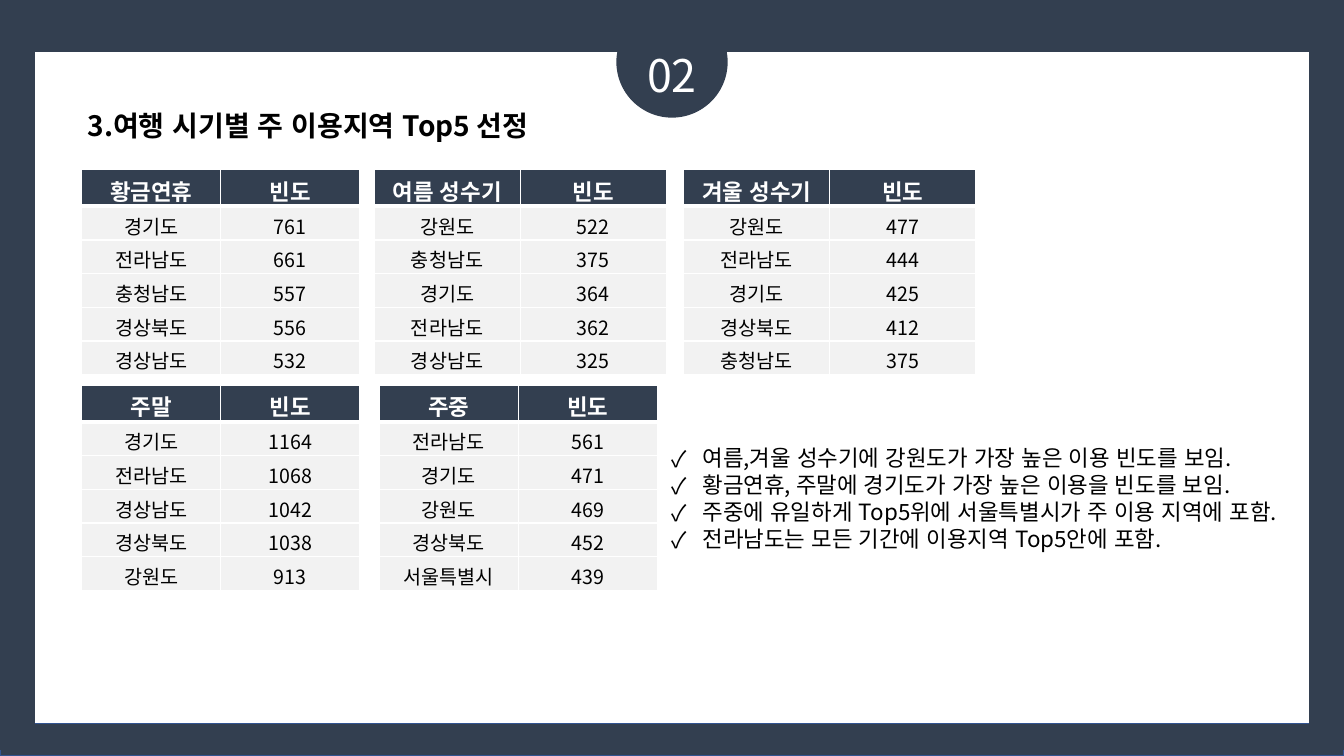
from lxml.etree import SubElement
from pptx import Presentation
from pptx.dml.color import RGBColor
from pptx.enum.lang import MSO_LANGUAGE_ID
from pptx.enum.shapes import MSO_SHAPE
from pptx.enum.text import MSO_ANCHOR, PP_ALIGN
from pptx.oxml.ns import qn
from pptx.util import Inches, Pt

FONT = "Noto Sans CJK KR"
COLORS = {"navy": "333F50", "edge": "325491", "pale": "F2F2F2",
          "white": "FFFFFF", "black": "000000"}
COUNT = "빈도"
# left, top, width, heading, rows
TABLES = [
    (0.81, 1.68, 2.76, "황금연휴",
     [("경기도", 761), ("전라남도", 661), ("충청남도", 557),
      ("경상북도", 556), ("경상남도", 532)]),
    (3.71, 1.68, 2.9, "여름 성수기",
     [("강원도", 522), ("충청남도", 375), ("경기도", 364),
      ("전라남도", 362), ("경상남도", 325)]),
    (6.78, 1.68, 2.9, "겨울 성수기",
     [("강원도", 477), ("전라남도", 444), ("경기도", 425),
      ("경상북도", 412), ("충청남도", 375)]),
    (0.81, 3.82, 2.76, "주말",
     [("경기도", 1164), ("전라남도", 1068), ("경상남도", 1042),
      ("경상북도", 1038), ("강원도", 913)]),
    (3.76, 3.82, 2.76, "주중",
     [("전라남도", 561), ("경기도", 471), ("강원도", 469),
      ("경상북도", 452), ("서울특별시", 439)]),
]
NOTES = [
    "여름,겨울 성수기에 강원도가 가장 높은 이용 빈도를 보임.",
    "황금연휴, 주말에 경기도가 가장 높은 이용을 빈도를 보임.",
    "주중에 유일하게 Top5위에 서울특별시가 주 이용 지역에 포함.",
    "전라남도는 모든 기간에 이용지역 Top5안에 포함.",
]


def color(name):
    return RGBColor.from_string(COLORS[name])


def add_run(para, text, size, tint="black", bold=False):
    run = para.add_run()
    run.text = text
    font = run.font
    font.size, font.bold, font.name = Pt(size), bold, FONT
    font.language_id = MSO_LANGUAGE_ID.KOREAN
    font.color.rgb = color(tint)
    SubElement(font._element, qn("a:ea")).set("typeface", FONT)


def add_box(slide, left, top, width, height):
    box = slide.shapes.add_textbox(
        Inches(left), Inches(top), Inches(width), Inches(height))
    box.text_frame.word_wrap = True
    return box.text_frame


def add_block(slide, kind, left, top, width, height, edge="navy"):
    block = slide.shapes.add_shape(
        kind, Inches(left), Inches(top), Inches(width), Inches(height))
    block.shadow.inherit = False
    block.fill.solid()
    block.fill.fore_color.rgb = color("navy")
    block.line.color.rgb = color(edge)
    block.line.width = Pt(1)


def add_frame(slide, width, height):
    """Draw the dark bands around the page."""
    rect = MSO_SHAPE.RECTANGLE
    add_block(slide, rect, 0, -0.01, width, 0.52)
    add_block(slide, rect, 0, height - 0.32, width, 0.32, "edge")
    for left in (0, width - 0.34):
        add_block(slide, rect, left, 0.4, 0.34, 7.03)


def add_badge(slide, left, top, size):
    add_block(slide, MSO_SHAPE.OVAL, left, top, size, size)
    para = add_box(slide, left + 0.1, top + 0.35,
                   size - 0.2, 0.64).paragraphs[0]
    para.alignment = PP_ALIGN.CENTER
    add_run(para, "02", 32, "white")


def add_title(slide, left, top, width, height):
    frame = add_box(slide, left, top, width, height)
    frame.vertical_anchor = MSO_ANCHOR.MIDDLE
    para = frame.paragraphs[0]
    para.line_spacing = 0.9
    add_run(para, "3.여행 시기별 주 이용지역 Top5 선정", 20, bold=True)


def add_borders(cell, top, bottom):
    """Give a cell white borders; top and bottom are widths in points."""
    props = cell._tc.get_or_add_tcPr()
    for side, width in (("L", 1), ("R", 1), ("T", top), ("B", bottom)):
        line = SubElement(props, qn(f"a:ln{side}"), w=str(Pt(width)))
        fill = SubElement(line, qn("a:solidFill"))
        SubElement(fill, qn("a:srgbClr"), val=COLORS["white"])


def add_ranks(slide, left, top, width, heading, ranks):
    rows = [(heading, COUNT), *ranks]
    step = 0.31
    table = slide.shapes.add_table(
        len(rows), 2, Inches(left), Inches(top),
        Inches(width), Inches(step * len(rows))).table
    for r, row in enumerate(rows):
        head = r == 0
        table.rows[r].height = Inches(step)
        for c, value in enumerate(row):
            cell = table.cell(r, c)
            add_borders(cell, 3 if r == 1 else 1, 3 if head else 1)
            cell.fill.solid()
            cell.fill.fore_color.rgb = color("navy" if head else "pale")
            para = cell.text_frame.paragraphs[0]
            para.alignment = PP_ALIGN.CENTER
            add_run(para, str(value), 16 if head else 14,
                    "white" if head else "black", head)


def add_notes(slide, left, top, width, height):
    frame = add_box(slide, left, top, width, height)
    for i, note in enumerate(NOTES):
        para = frame.add_paragraph() if i else frame.paragraphs[0]
        props = para._p.get_or_add_pPr()
        props.set("marL", str(Inches(0.31)))
        props.set("indent", str(Inches(-0.31)))
        SubElement(props, qn("a:buFont"), typeface=FONT)
        SubElement(props, qn("a:buChar"), char="✓")
        add_run(para, note, 16)


def main():
    deck = Presentation()
    deck.slide_width, deck.slide_height = Inches(13.33), Inches(7.5)
    slide = deck.slides.add_slide(deck.slide_layouts[6])
    add_title(slide, 0.77, 1.04, 5.7, 0.45)
    add_frame(slide, 13.33, 7.5)
    add_badge(slide, 6.12, 0.07, 1.09)
    add_notes(slide, 6.56, 4.36, 6.43, 1.18)
    for table in TABLES:
        add_ranks(slide, *table)
    deck.save("out.pptx")


if __name__ == "__main__":
    main()
